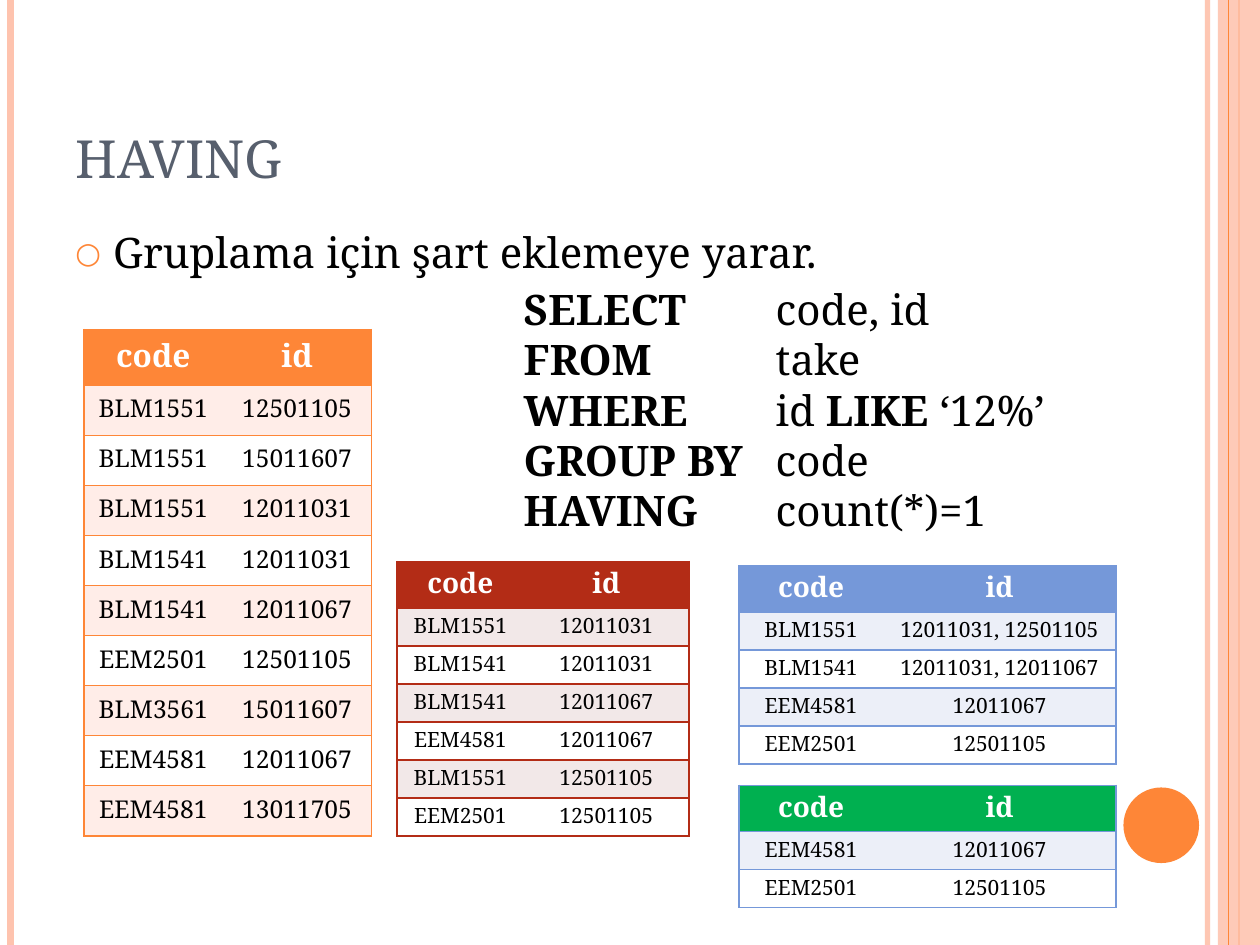
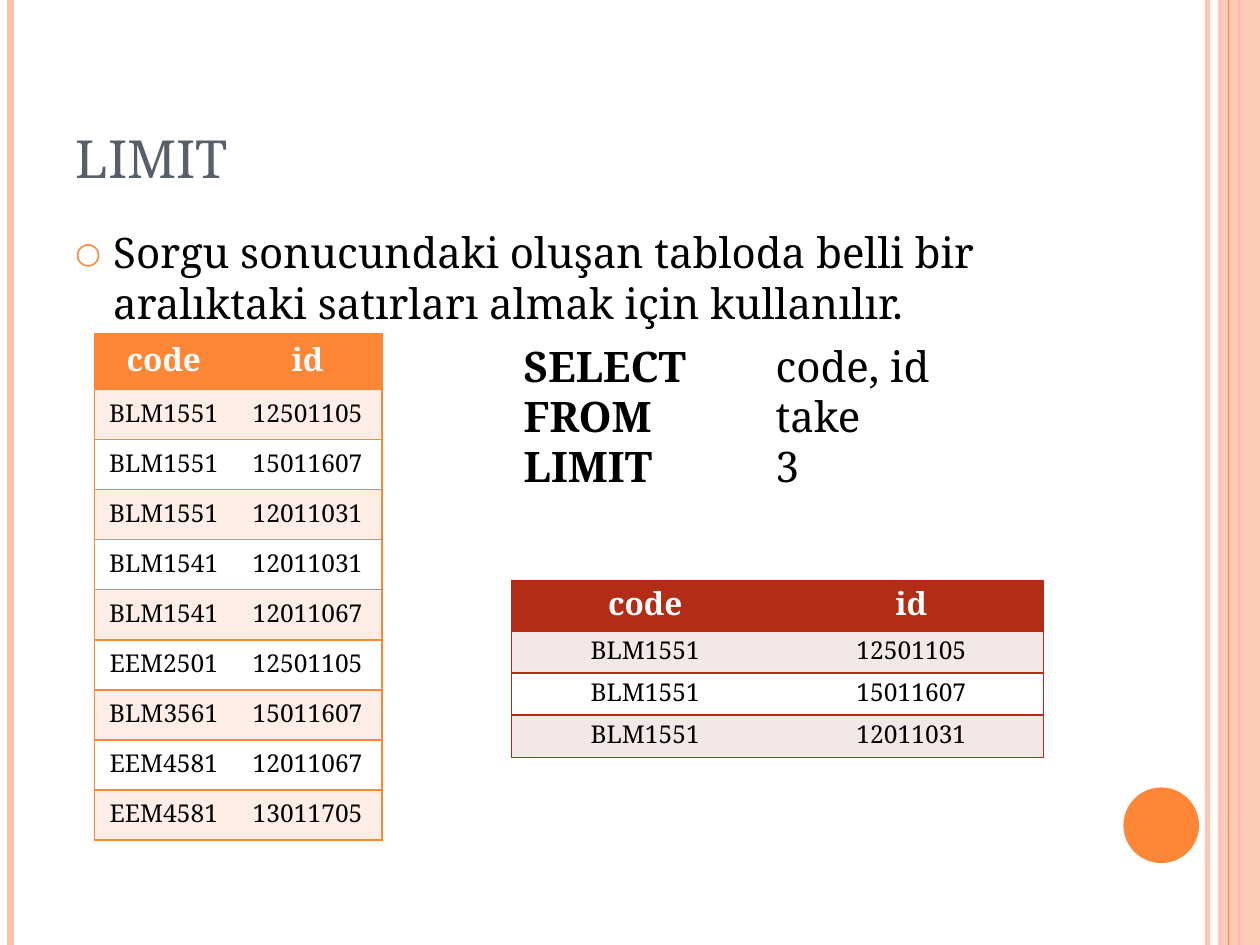
from lxml import etree
from pptx import Presentation
from pptx.dml.color import RGBColor
from pptx.enum.shapes import MSO_CONNECTOR, MSO_SHAPE
from pptx.enum.text import MSO_ANCHOR, PP_ALIGN
from pptx.oxml.ns import qn
from pptx.util import Inches, Pt

STRAIGHT = MSO_CONNECTOR.STRAIGHT
RECTANGLE, OVAL = MSO_SHAPE.RECTANGLE, MSO_SHAPE.OVAL
TOP, MIDDLE, BOTTOM = MSO_ANCHOR.TOP, MSO_ANCHOR.MIDDLE, MSO_ANCHOR.BOTTOM
LEFT, CENTER = PP_ALIGN.LEFT, PP_ALIGN.CENTER

FONT = "Noto Serif"
ORANGE, PEACH, RED, BLUE, GREEN = "FE8637", "FEC3AE", "B32C16", "7598D9", "00B050"
SLATE, BLACK, WHITE = "575F6D", "000000", "FFFFFF"
PALE = {ORANGE: "FFEDE8", RED: "F2E8E8", BLUE: "ECEFF8"}
PLAIN_TABLE = "{2D5ABB26-0587-4C30-8999-92F81FD0307C}"

prs = Presentation()
prs.slide_width, prs.slide_height = Inches(10), Inches(7.5)
# The slide is a grid of 120 columns by 90 rows with square cells.
COLUMNS, ROWS = 120, 90
UNIT = prs.slide_width / COLUMNS


def rgb(value):
    """Turn a hex string into a colour."""
    return RGBColor.from_string(value)


def write(paragraph, runs, size, color, align=LEFT):
    """Fill a paragraph with (text, bold) runs in the shared font."""
    paragraph.alignment = align
    paragraph.line_spacing = Pt(size * 1.2)
    for text, bold in runs:
        run = paragraph.add_run()
        run.text = text
        for key, value in {"name": FONT, "size": Pt(size), "bold": bold}.items():
            setattr(run.font, key, value)
        run.font.color.rgb = rgb(color)


# Content
take = [("BLM1551", "12501105"), ("BLM1551", "15011607"), ("BLM1551", "12011031"),
        ("BLM1541", "12011031"), ("BLM1541", "12011067"), ("EEM2501", "12501105"),
        ("BLM3561", "15011607"), ("EEM4581", "12011067"), ("EEM4581", "13011705")]
filtered = [("BLM1551", "12011031"), ("BLM1541", "12011031"), ("BLM1541", "12011067"),
            ("EEM4581", "12011067"), ("BLM1551", "12501105"), ("EEM2501", "12501105")]
grouped = [("BLM1551", "12011031, 12501105"), ("BLM1541", "12011031, 12011067"),
           ("EEM4581", "12011067"), ("EEM2501", "12501105")]
single = grouped[2:]

# Row styles: header height, row height, header size, row size
ROOMY = (5.3, 4.77, 18, 14)
MEDIUM = (4.8, 4, 18, 14)
SMALL = (4.4, 3.62, 16, 12)

# Tables: left, top, column widths, row style, header colour, theme colour, records
lessons = [
    {"title": "HAVING",
     "point": "Gruplama için şart eklemeye yarar.",
     "point_rows": 10.8,
     "query_box": (48.7, 26.4, 55.3, 25.4),
     "query": [
         [("SELECT\t", True), ("code, id", False)],
         [("FROM\t", True), ("take", False)],
         [("WHERE\t", True), ("id ", False), ("LIKE", True), (" ‘12%’", False)],
         [("GROUP BY\t", True), ("code", False)],
         [("HAVING\t", True), ("count(*)=1", False)]],
     "tables": [
         (8, 31.4, (13.2, 14.2), ROOMY, ORANGE, ORANGE, take),
         (37.8, 53.5, (12.1, 15.7), SMALL, RED, RED, filtered),
         (70.4, 53.9, (13.7, 22.2), SMALL, BLUE, BLUE, grouped),
         (70.4, 74.8, (13.7, 22.2), SMALL, GREEN, BLUE, single)]},
    {"title": "LIMIT",
     "point": "Sorgu sonucundaki oluşan tabloda belli bir "
              "aralıktaki satırları almak için kullanılır.",
     "point_rows": 64,
     "query_box": (48.7, 31.8, 60.5, 15.7),
     "query": [
         [("SELECT\t", True), ("code, id", False)],
         [("FROM\t", True), ("take", False)],
         [("LIMIT\t", True), ("3", False)]],
     "tables": [
         (9, 31.8, (13.2, 14.2), ROOMY, ORANGE, ORANGE, take),
         (48.7, 55.3, (25.5, 25.2), MEDIUM, RED, RED, take[:3])]},
]

# Side decoration, back to front
stripes = [(115, PEACH, 3, 93), (1, PEACH, 4.5, 100), (118, ORANGE, 1.5, 100),
           ("band", (116, 0, 4, ROWS), PEACH, 87),
           (117, ORANGE, 0.75, 100),
           ("disc", (107, 75, 7.2, 7.2), ORANGE, 100)]

for lesson in lessons:
    slide = prs.slides.add_slide(prs.slide_layouts[6])

    for part in stripes:
        if part[0] in ("band", "disc"):
            kind, box, color, opacity = part
            ornament = slide.shapes.add_shape(RECTANGLE if kind == "band" else OVAL,
                                              *[int(n * UNIT) for n in box])
            ornament.shadow.inherit = False
            ornament.line.fill.background()
            paint = ornament.fill
            paint.solid()
        else:
            column, color, width, opacity = part
            x = int(column * UNIT)
            ornament = slide.shapes.add_connector(STRAIGHT, x, 0, x, prs.slide_height)
            ornament.line.width = Pt(width)
            paint = ornament.line.fill
            paint.solid()
            etree.SubElement(ornament._element.spPr, qn("a:effectLst"))
        paint.fore_color.rgb = rgb(color)
        if opacity < 100:
            tint = next(ornament._element.spPr.iter(qn("a:srgbClr")))
            etree.SubElement(tint, qn("a:alpha"), val=str(opacity * 1000))

    # Title, bullet point and query
    frames = []
    for box, anchor in [((6, 3.6, 98, 15), BOTTOM),
                        ((6, 21, 98, lesson["point_rows"]), TOP),
                        (lesson["query_box"], TOP)]:
        frame = slide.shapes.add_textbox(*[int(n * UNIT) for n in box]).text_frame
        frame.word_wrap = True
        frame.vertical_anchor = anchor
        frames.append(frame)
    heading, point, query = frames

    write(heading.paragraphs[0], [(lesson["title"], False)], 30, SLATE)

    bullet = point.paragraphs[0]
    write(bullet, [(lesson["point"], False)], 24, BLACK)
    bullet.space_before = Pt(6)
    props = bullet._p.get_or_add_pPr()
    props.set("marL", str(Inches(0.3)))
    props.set("indent", str(Inches(-0.3)))
    bullet_color = etree.SubElement(props, qn("a:buClr"))
    etree.SubElement(bullet_color, qn("a:srgbClr"), val=ORANGE)
    etree.SubElement(props, qn("a:buSzPct"), val="70000")
    etree.SubElement(props, qn("a:buFont"), typeface=FONT)
    etree.SubElement(props, qn("a:buChar"), char="○")

    for number, clause in enumerate(lesson["query"]):
        line = query.add_paragraph() if number else query.paragraphs[0]
        write(line, clause, 24, BLACK)
        tabs = etree.SubElement(line._p.get_or_add_pPr(), qn("a:tabLst"))
        etree.SubElement(tabs, qn("a:tab"), pos=str(Inches(2)), algn="l")

    for left, top, widths, style, header, theme, records in lesson["tables"]:
        header_height, row_height, header_size, row_size = style
        height = header_height + row_height * len(records)
        table = slide.shapes.add_table(
            len(records) + 1, len(widths),
            *[int(n * UNIT) for n in (left, top, sum(widths), height)]).table
        table._tbl.tblPr.find(qn("a:tableStyleId")).text = PLAIN_TABLE
        for column, width in zip(table.columns, widths):
            column.width = int(width * UNIT)
        for r, record in enumerate([("code", "id")] + records):
            is_header = r == 0
            table.rows[r].height = int((header_height if is_header else row_height) * UNIT)
            fill = header if is_header else PALE[theme] if r % 2 else WHITE
            for c, value in enumerate(record):
                cell = table.cell(r, c)
                cell.vertical_anchor = MIDDLE
                cell.fill.solid()
                cell.fill.fore_color.rgb = rgb(fill)
                write(cell.text_frame.paragraphs[0], [(value, is_header)],
                      header_size if is_header else row_size,
                      WHITE if is_header else BLACK, CENTER)
                # Outer side, top and bottom edges; no rule between columns
                edges = ("a:lnR" if c else "a:lnL", "a:lnT", "a:lnB")
                for place, edge in enumerate(edges):
                    border = etree.Element(qn(edge), w=str(Pt(1)))
                    solid = etree.SubElement(border, qn("a:solidFill"))
                    etree.SubElement(solid, qn("a:srgbClr"), val=theme)
                    cell._tc.get_or_add_tcPr().insert(place, border)

prs.save("out.pptx")
